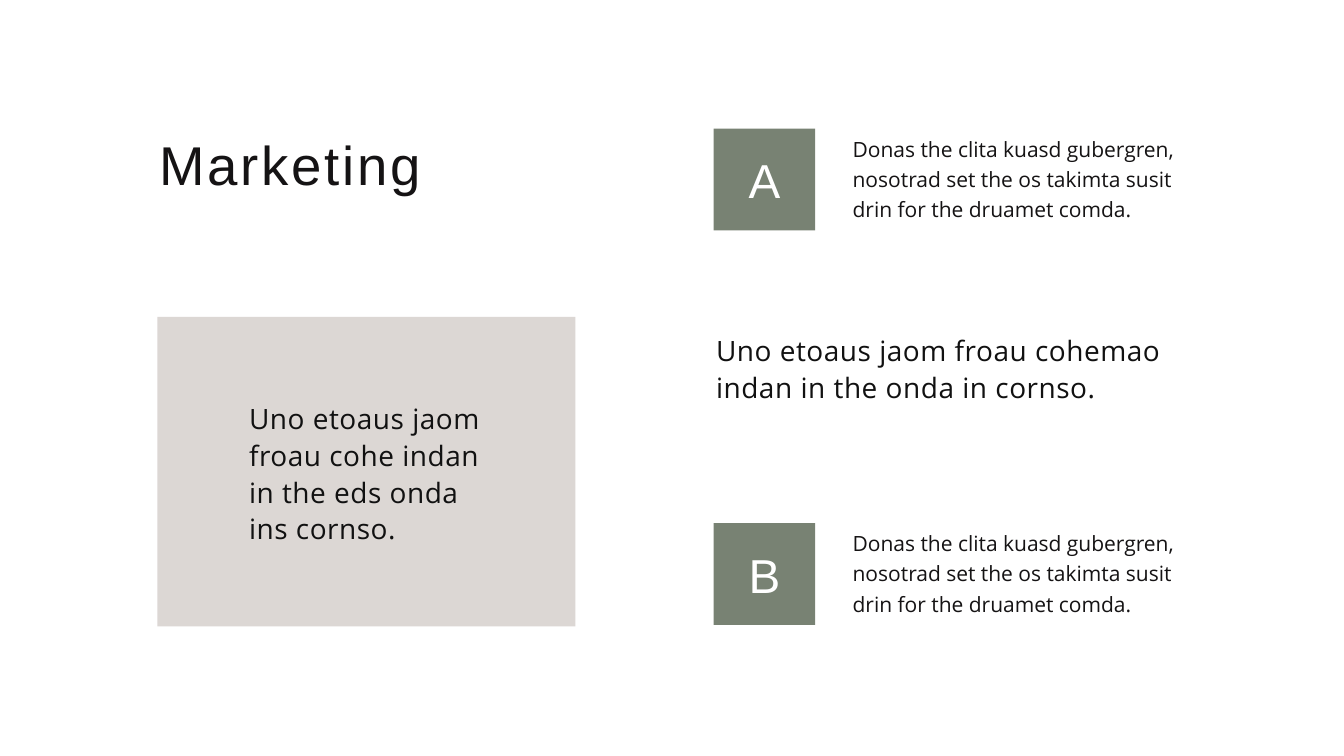
from pptx import Presentation
from pptx.dml.color import RGBColor
from pptx.enum.shapes import MSO_SHAPE
from pptx.enum.text import MSO_ANCHOR, MSO_AUTO_SIZE, PP_ALIGN
from pptx.util import Inches, Pt

RECTANGLE = MSO_SHAPE.RECTANGLE
TOP, MIDDLE = MSO_ANCHOR.TOP, MSO_ANCHOR.MIDDLE
LEFT, CENTER = PP_ALIGN.LEFT, PP_ALIGN.CENTER
GROW, FIXED = MSO_AUTO_SIZE.SHAPE_TO_FIT_TEXT, MSO_AUTO_SIZE.NONE

INK = RGBColor(0x15, 0x13, 0x14)
DARK = RGBColor(0x11, 0x11, 0x11)
WHITE = RGBColor(0xFF, 0xFF, 0xFF)
SAGE = RGBColor(0x78, 0x82, 0x73)
STONE = RGBColor(0xDC, 0xD7, 0xD4)

FORMATS = {
    "title": {"font": {"name": "Arial", "size": Pt(78)}, "color": INK, "tracking": 3.9},
    "letter": {"font": {"name": "Arial", "size": Pt(68)}, "color": WHITE, "tracking": 6.8},
    "lead": {"font": {"name": "Open Sans", "size": Pt(40)}, "color": DARK,
             "tracking": 0.8, "spacing": 1.1},
    "detail": {"font": {"name": "Open Sans", "size": Pt(30)}, "color": INK, "spacing": 1.2},
}

LEFT_COLUMN, RIGHT_COLUMN, DETAIL_COLUMN = 11.7, 53.09, 63.25
DETAIL = "Donas the clita kuasd gubergren, nosotrad set the os takimta susit drin for the druamet comda."
OPTIONS = [("A", 17), ("B", 69.2)]


class SlideBuilder:
    """Places styled elements on a slide, with boxes in percent of its size."""

    def __init__(self, presentation):
        self.width = presentation.slide_width
        self.height = presentation.slide_height
        self.slide = presentation.slides.add_slide(presentation.slide_layouts[5])

    def locate(self, box):
        """Turns left, top, width and height in percent into lengths."""
        sides = (self.width, self.height) * 2
        return [round(share * side / 100) for share, side in zip(box, sides)]

    def fill_text(self, shape, text, style, anchor=TOP, align=LEFT, auto_size=GROW):
        """Fills a shape with one styled paragraph."""
        style_format = FORMATS[style]
        margin = Inches(0.05)
        frame = shape.text_frame
        frame.text = text
        frame_format = {
            "word_wrap": True, "auto_size": auto_size, "vertical_anchor": anchor,
            "margin_left": margin, "margin_right": margin,
            "margin_top": margin, "margin_bottom": margin,
        }
        for name, value in frame_format.items():
            setattr(frame, name, value)
        paragraph = frame.paragraphs[0]
        paragraph.alignment = align
        paragraph.line_spacing = style_format.get("spacing")
        run = paragraph.runs[0]
        for name, value in style_format["font"].items():
            setattr(run.font, name, value)
        run.font.color.rgb = style_format["color"]
        tracking = round(style_format.get("tracking", 0) * 100)
        run._r.get_or_add_rPr().set("spc", str(tracking))

    def title(self, box, text):
        """Moves and fills the title placeholder."""
        shape = self.slide.shapes.title
        shape.left, shape.top, shape.width, shape.height = self.locate(box)
        self.fill_text(shape, text, "title")

    def text(self, box, text, style, anchor=TOP):
        """Adds a text box."""
        self.fill_text(self.slide.shapes.add_textbox(*self.locate(box)), text, style, anchor)

    def panel(self, box, color):
        """Adds a plain filled rectangle."""
        shape = self.slide.shapes.add_shape(RECTANGLE, *self.locate(box))
        shape.shadow.inherit = False
        shape.fill.solid()
        shape.fill.fore_color.rgb = color
        shape.line.fill.background()
        return shape

    def option(self, top, letter, detail):
        """Adds a lettered square with its detail text."""
        square = self.panel((RIGHT_COLUMN, top, 7.57, 13.47), SAGE)
        self.fill_text(square, letter, "letter", MIDDLE, CENTER, FIXED)
        self.text((DETAIL_COLUMN, top, 25, 13.6), detail, "detail")


def main():
    """Builds and saves the marketing slide."""
    presentation = Presentation()
    presentation.slide_width = Inches(26.67)
    presentation.slide_height = Inches(15)
    builder = SlideBuilder(presentation)
    builder.title((LEFT_COLUMN, 17, 25, 9.4), "Marketing")
    for letter, top in OPTIONS:
        builder.option(top, letter, DETAIL)
    builder.text((RIGHT_COLUMN, 42.93, 35.17, 11.33),
                 "Uno etoaus jaom froau cohemao indan in the onda in cornso.", "lead", MIDDLE)
    builder.panel((LEFT_COLUMN, 41.93, 31.12, 40.93), STONE)
    builder.text((18.34, 51.13, 17.89, 22.53),
                 "Uno etoaus jaom froau cohe indan in the eds onda ins cornso.", "lead", MIDDLE)
    presentation.save("out.pptx")


if __name__ == "__main__":
    main()
